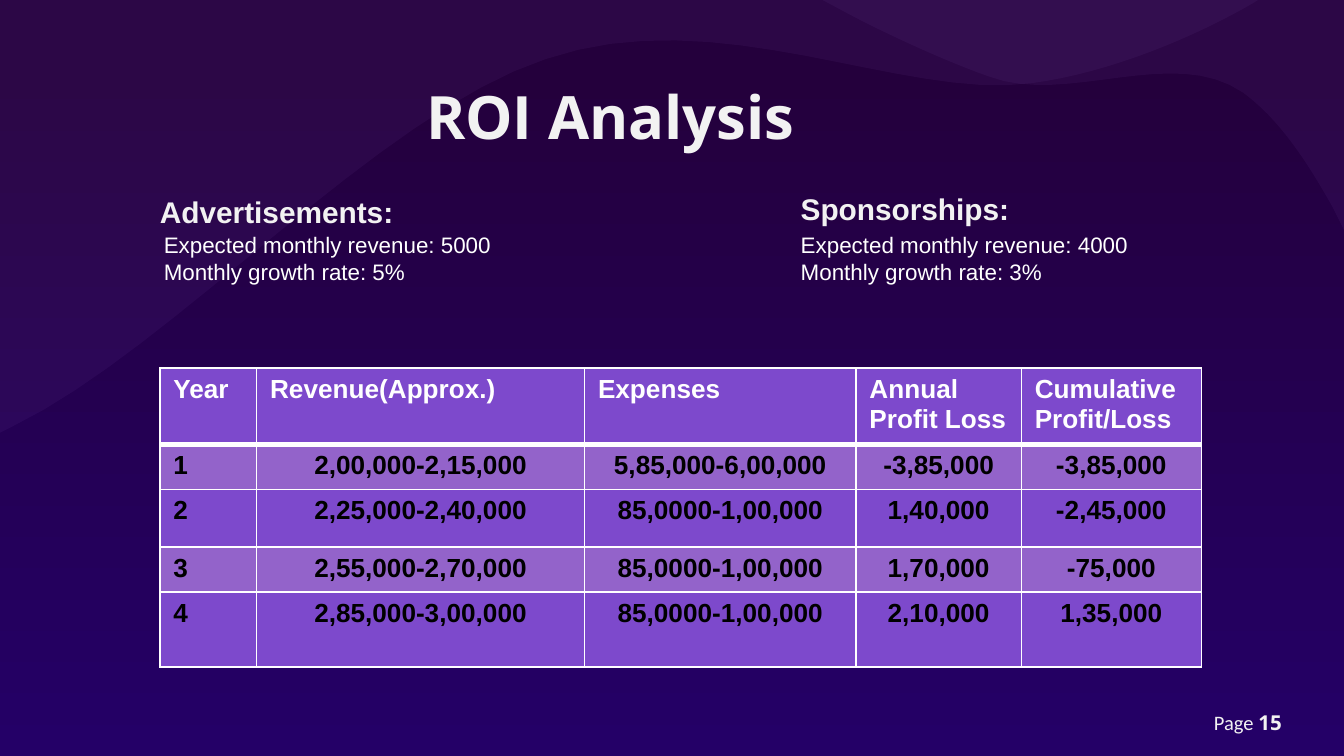
from lxml.etree import SubElement
from pptx import Presentation
from pptx.dml.color import RGBColor as RGB
from pptx.enum.shapes import MSO_SHAPE as SHAPE
from pptx.enum.text import MSO_ANCHOR as ANCHOR, PP_ALIGN as ALIGN
from pptx.oxml.ns import qn
from pptx.util import Inches, Pt

# The slide is a square grid of 100 columns by 56.25 rows.
UNIT = Inches(0.1)
COLUMNS, ROWS = 100, 56.25

COLORS = {
    "night": "24003C", "indigo": "240067", "wave": "9C6BCF",
    "soft": "F2F2F2", "white": "FFFFFF", "black": "000000",
    "row": "7D49CC", "band": "9363CA",
}

TITLE = {"size": 32, "name": "Open Sans", "bold": True, "color": "soft"}
HEADING = {"size": 16, "name": "Arial", "bold": True, "color": "soft"}
DETAIL = {"size": 12, "name": "Arial", "bold": False, "color": "white"}
HEADER = {"size": 14, "name": "Arial", "bold": True, "color": "white"}
FIGURE = HEADER | {"color": "black"}
PAGE = {"size": 11, "name": "Calibri", "bold": False, "color": "soft"}
PAGE_NUMBER = PAGE | {"name": "Open Sans", "bold": True}

# A wave is a start point, then steps of one point (line) or three (curve).
BACK_WAVE = [
    [(0, 32.2)], [(1, 31.7)],
    [(12.9, 25.9), (28.1, 8.5), (40.6, 4.4)],
    [(53.4, 0), (67.1, 7.5), (76.7, 6.2)],
    [(82.7, 5.4), (89, 2.7), (93.3, 0.2)],
    [(93.6, 0)], [(0, 0)],
]
CORNER_WAVE = [
    [(100, 0)], [(61.2, 0)], [(62.5, 0.7)],
    [(66.4, 2.8), (71, 4.8), (73.6, 5.7)],
    [(79.4, 7.9), (87.3, 3.3), (92.5, 6.9)],
    [(95.1, 8.8), (97.2, 11.9), (99.2, 15.5)],
    [(100, 17.1)],
]

COLUMN_WIDTHS = [7.2, 24.4, 20.2, 12.3, 13.4]
ROW_HEIGHTS = [5.6, 3.3, 4.3, 3.3, 5.6]
RETURNS = [
    ["Year", "Revenue(Approx.)", "Expenses", "Annual Profit Loss", "Cumulative Profit/Loss"],
    ["1", "2,00,000-2,15,000", "5,85,000-6,00,000", "-3,85,000", "-3,85,000"],
    ["2", "2,25,000-2,40,000", "85,0000-1,00,000", "1,40,000", "-2,45,000"],
    ["3", "2,55,000-2,70,000", "85,0000-1,00,000", "1,70,000", "-75,000"],
    ["4", "2,85,000-3,00,000", "85,0000-1,00,000", "2,10,000", "1,35,000"],
]


def grid(*lengths):
    return [round(length * UNIT) for length in lengths]


def color(name):
    return RGB.from_string(COLORS[name])


def add_run(paragraph, words, style):
    run = paragraph.add_run()
    run.text = words
    for key, value in style.items():
        if key == "color":
            run.font.color.rgb = color(value)
        else:
            setattr(run.font, key, Pt(value) if key == "size" else value)


def add_text(slide, place, lines, inset=True, anchor=ANCHOR.TOP, **paragraph_format):
    """Add a text box; each line is a list of (words, style) runs."""
    frame = slide.shapes.add_textbox(*grid(*place)).text_frame
    frame.word_wrap = True
    frame.vertical_anchor = anchor
    if not inset:
        for side in ("left", "top", "right", "bottom"):
            setattr(frame, f"margin_{side}", 0)
    for index, runs in enumerate(lines):
        paragraph = frame.add_paragraph() if index else frame.paragraphs[0]
        for key, value in paragraph_format.items():
            setattr(paragraph, key, value)
        for words, style in runs:
            add_run(paragraph, words, style)


def add_backdrop(slide):
    backdrop = slide.shapes.add_shape(SHAPE.RECTANGLE, *grid(0, 0, COLUMNS, ROWS))
    backdrop.shadow.inherit = False
    backdrop.line.fill.background()
    backdrop.fill.gradient()
    backdrop.fill.gradient_angle = 270
    stops = backdrop.fill.gradient_stops
    for stop, position, name in zip(stops, (0.09, 1), ("night", "indigo")):
        stop.position = position
        stop.color.rgb = color(name)


def curve_points(start, controls, steps=16):
    """Sample a cubic Bezier curve, leaving out its start."""
    for step in range(1, steps + 1):
        t = step / steps
        weights = ((1 - t) ** 3, 3 * t * (1 - t) ** 2, 3 * t * t * (1 - t), t ** 3)
        yield tuple(
            sum(w * value for w, value in zip(weights, axis))
            for axis in zip(start, *controls)
        )


def add_wave(slide, steps):
    points = list(steps[0])
    for step in steps[1:]:
        points += step if len(step) == 1 else curve_points(points[-1], step)
    start, *rest = [grid(*point) for point in points]
    builder = slide.shapes.build_freeform(*start)
    builder.add_line_segments(rest, close=True)
    wave = builder.convert_to_shape()
    wave.shadow.inherit = False
    wave.line.fill.background()
    wave.fill.solid()
    wave.fill.fore_color.rgb = color("wave")
    tint = wave.fill._xPr.find(".//" + qn("a:srgbClr"))
    SubElement(tint, qn("a:alpha"), val="7000")


def set_borders(cell, **widths):
    properties = cell._tc.get_or_add_tcPr()
    for side in "LRTB":
        line = SubElement(properties, qn(f"a:ln{side}"), w=str(Pt(widths.get(side, 1))))
        fill = SubElement(line, qn("a:solidFill"))
        SubElement(fill, qn("a:srgbClr"), val=COLORS["white"])


def add_returns_table(slide, left, top):
    place = grid(left, top, sum(COLUMN_WIDTHS), sum(ROW_HEIGHTS))
    table = slide.shapes.add_table(len(RETURNS), len(RETURNS[0]), *place).table
    for column, width in zip(table.columns, grid(*COLUMN_WIDTHS)):
        column.width = width
    for row, height in zip(table.rows, grid(*ROW_HEIGHTS)):
        row.height = height
    for r, entries in enumerate(RETURNS):
        for c, entry in enumerate(entries):
            cell = table.cell(r, c)
            set_borders(cell, **{0: {"B": 3}, 1: {"T": 3}}.get(r, {}))
            cell.fill.solid()
            cell.fill.fore_color.rgb = color("band" if r % 2 else "row")
            paragraph = cell.text_frame.paragraphs[0]
            paragraph.alignment = ALIGN.CENTER if r and c else ALIGN.LEFT
            add_run(paragraph, entry, FIGURE if r else HEADER)


def add_forecast(slide, place, revenue, growth):
    add_text(slide, place, [
        [(f"Expected monthly revenue: {revenue}", DETAIL)],
        [(f"Monthly growth rate: {growth}%", DETAIL)],
    ])


def main():
    deck = Presentation()
    deck.slide_width, deck.slide_height = grid(COLUMNS, ROWS)
    slide = deck.slides.add_slide(deck.slide_layouts[6])

    add_backdrop(slide)
    add_wave(slide, BACK_WAVE)
    add_wave(slide, CORNER_WAVE)
    add_text(slide, (89.3, 52.3, 7.1, 3), [[("Page ", PAGE), ("15", PAGE_NUMBER)]],
             inset=False, alignment=ALIGN.CENTER, line_spacing=1.3)
    add_text(slide, (31.7, 5.9, 28.5, 5.4), [[("ROI Analysis", TITLE)]],
             inset=False, anchor=ANCHOR.MIDDLE)
    add_returns_table(slide, 11.9, 27.4)

    add_text(slide, (11.9, 13.6, 23.8, 7), [[("Advertisements:", HEADING)]],
             inset=False, line_spacing=1.3)
    add_forecast(slide, (11.2, 16.7, 30.8, 5), 5000, 5)
    add_text(slide, (58.6, 13.7, 30, 3.7), [[("Sponsorships:", HEADING)]])
    add_forecast(slide, (58.6, 16.7, 30, 5), 4000, 3)

    deck.save("out.pptx")


if __name__ == "__main__":
    main()
